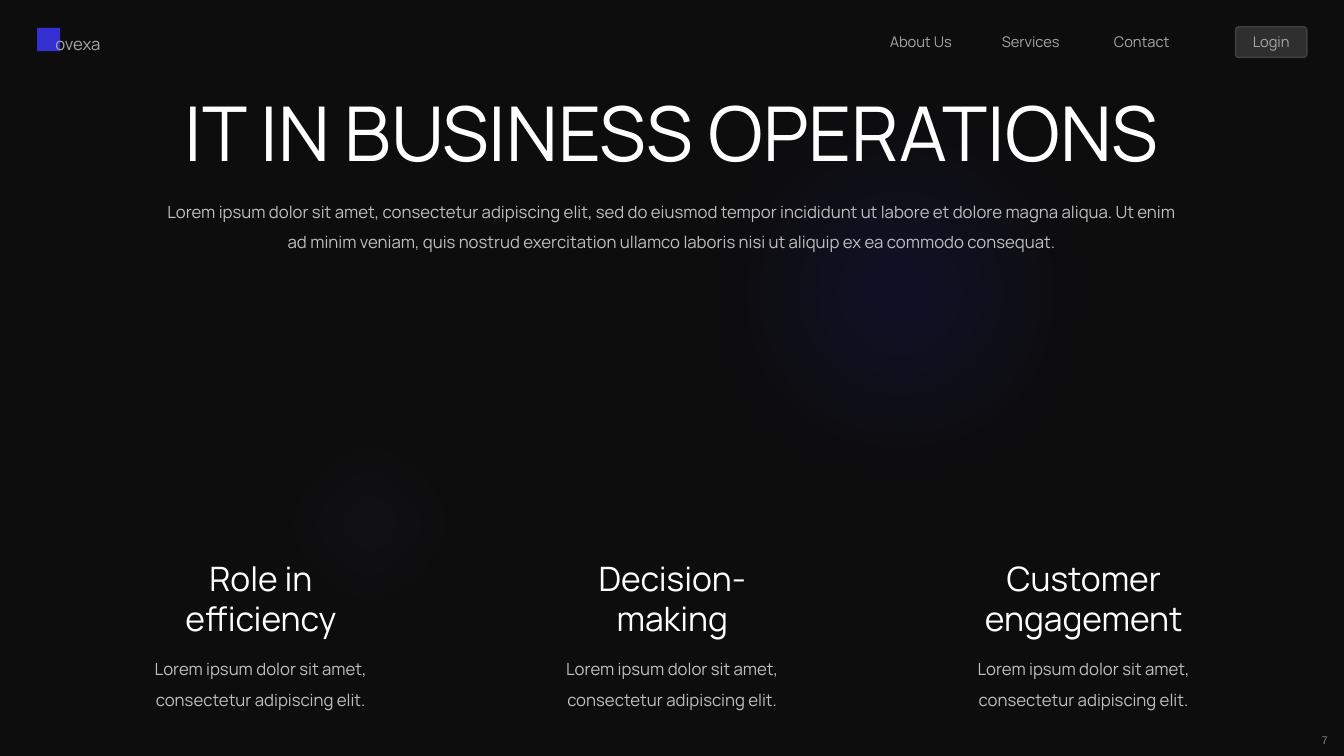
from pptx import Presentation
from pptx.dml.color import RGBColor
from pptx.enum.shapes import MSO_SHAPE
from pptx.enum.text import MSO_ANCHOR, PP_ALIGN
from pptx.oxml.ns import qn
from pptx.util import Pt
from lxml.etree import SubElement

COLORS = {
    "background": "0D0D0D",
    "white": "FFFFFF",
    "body": "BFBFBF",
    "menu": "A6A6A6",
    "number": "7F7F7F",
    "brand": "332FD0",
    "button": "F2F2F2",
    "button_line": "404040",
    "blue_glow": "26239C",
    "violet_glow": "8582E3",
}


class SlideBuilder:
    """Holds the slide and its style, and adds each kind of element."""

    font = "Manrope"

    def __init__(self, slide):
        self.slide = slide
        background = slide.background.fill
        background.solid()
        background.fore_color.rgb = self.color("background")

    def color(self, name):
        return RGBColor.from_string(COLORS[name])

    def set_text(self, shape, text, size, color, align=PP_ALIGN.LEFT,
                 spacing=1.0, font=None, anchor=MSO_ANCHOR.TOP):
        frame = shape.text_frame
        frame.text = text
        frame.word_wrap = True
        frame.vertical_anchor = anchor
        frame.margin_left = frame.margin_right = Pt(7.2)
        frame.margin_top = frame.margin_bottom = Pt(3.6)
        paragraph = frame.paragraphs[0]
        paragraph.alignment = align
        paragraph.line_spacing = spacing
        paragraph.space_before = Pt(0)
        for run in paragraph.runs:
            run.font.size = Pt(size)
            run.font.name = font or self.font
            run.font.color.rgb = self.color(color)

    def text(self, box, text, size, color, **style):
        shape = self.slide.shapes.add_textbox(*map(Pt, box))
        self.set_text(shape, text, size, color, **style)

    def title(self, box, text, size, color):
        title = self.slide.shapes.title
        title.left, title.top, title.width, title.height = map(Pt, box)
        self.set_text(title, text, size, color, align=PP_ALIGN.CENTER)
        # Bring the title in front of the glows
        title.element.getparent().append(title.element)

    def shape(self, kind, box, color, opacity=100):
        shape = self.slide.shapes.add_shape(kind, *map(Pt, box))
        shape.shadow.inherit = False
        shape.fill.solid()
        shape.fill.fore_color.rgb = self.color(color)
        shape.line.fill.background()
        if opacity < 100:
            fill_color = shape.element.spPr.find(qn("a:solidFill"))[0]
            SubElement(fill_color, qn("a:alpha"), val=str(opacity * 1000))
        return shape

    def button(self, box, text):
        button = self.shape(MSO_SHAPE.ROUNDED_RECTANGLE, box, "button", 15)
        button.adjustments[0] = 0.105
        button.line.color.rgb = self.color("button_line")
        button.line.width = Pt(1)
        self.set_text(button, text, 10.5, "menu", align=PP_ALIGN.CENTER)

    def glow(self, center_x, center_y, radius, softness, color, opacity):
        box = (center_x - radius, center_y - radius, 2 * radius, 2 * radius)
        glow = self.shape(MSO_SHAPE.OVAL, box, color, opacity)
        effects = glow.element.spPr.find(qn("a:effectLst"))
        SubElement(effects, qn("a:softEdge"), rad=str(int(Pt(softness))))


def main():
    presentation = Presentation()
    presentation.slide_width = Pt(960)
    presentation.slide_height = Pt(540)
    layout = presentation.slide_layouts.get_by_name("Title Only")
    builder = SlideBuilder(presentation.slides.add_slide(layout))

    # Header: brand mark, menu and login button
    builder.shape(MSO_SHAPE.RECTANGLE, (26.5, 20, 16.5, 16.5), "brand")
    builder.text((32.4, 20.2, 57, 21.6), "ovexa", 12, "menu")
    for index, entry in enumerate(("About Us", "Services", "Contact")):
        builder.text((628.5 + 80 * index, 20.2, 63, 20.5), entry, 10.5, "menu")
    builder.button((882.5, 19.2, 51, 21.8), "Login")

    # Page number
    builder.text((893, 520.5, 62.5, 17), "7", 8, "number",
                 align=PP_ALIGN.RIGHT, font="Arial")

    # Background glows
    builder.glow(643.5, 210, 224.3, 127, "blue_glow", 52)
    builder.glow(263.5, 373.7, 129, 82, "violet_glow", 37)

    # Title and introduction
    builder.title((26.5, 57.6, 907, 72.7), "IT IN BUSINESS OPERATIONS", 54, "white")
    builder.text(
        (108.5, 133.2, 743, 51),
        "Lorem ipsum dolor sit amet, consectetur adipiscing elit, sed do eiusmod "
        "tempor incididunt ut labore et dolore magna aliqua. Ut enim ad minim "
        "veniam, quis nostrud exercitation ullamco laboris nisi ut aliquip ex ea "
        "commodo consequat.",
        12, "body", align=PP_ALIGN.CENTER, spacing=1.5)

    # Three topics
    topics = ("Role in efficiency", "Decision-making", "Customer engagement")
    for index, topic in enumerate(topics):
        left = 92 + 293.9 * index
        builder.text((left, 394.6, 188.6, 65.5), topic, 24, "white",
                     align=PP_ALIGN.CENTER)
        builder.text((left, 460, 188.6, 51),
                     "Lorem ipsum dolor sit amet, consectetur adipiscing elit.",
                     12, "body", align=PP_ALIGN.CENTER, spacing=1.5)

    presentation.save("out.pptx")


if __name__ == "__main__":
    main()
